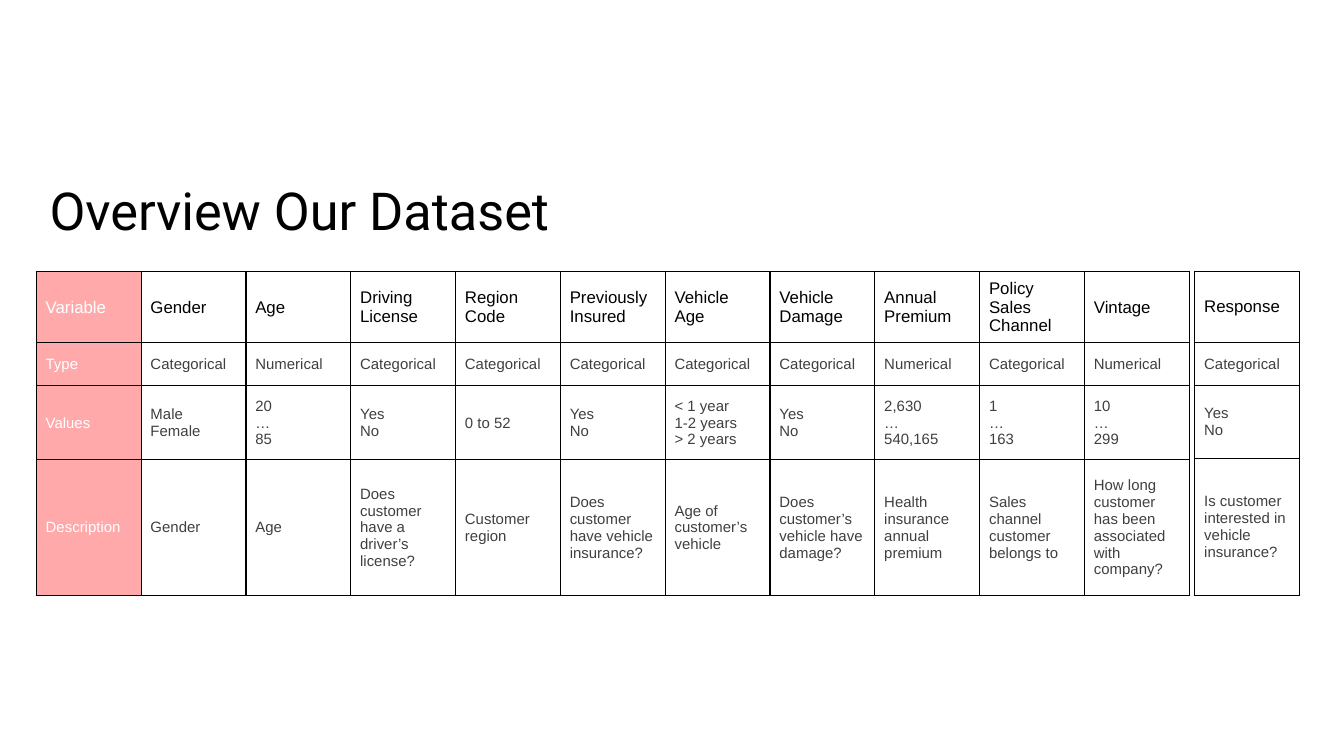
import copy

import pptx
import pptx.dml.color
import pptx.enum.text
import pptx.oxml
import pptx.oxml.ns
import pptx.util

Inches = pptx.util.Inches
Pt = pptx.util.Pt
RGBColor = pptx.dml.color.RGBColor

BLACK = RGBColor(0x00, 0x00, 0x00)
WHITE = RGBColor(0xFF, 0xFF, 0xFF)
GRAY = RGBColor(0x3F, 0x3F, 0x3F)
PINK = RGBColor(0xFF, 0xA9, 0xAA)

SLIDE_WIDTH = 10
SLIDE_HEIGHT = SLIDE_WIDTH * 9 / 16
COLUMN_WIDTH = 0.78
TABLE_TOP = 2.02

HEADINGS = ("Variable", "Type", "Values", "Description")
FEATURES = [
    ("Gender", "Categorical", "Male\nFemale", "Gender"),
    ("Age", "Numerical", "20\n…\n85", "Age"),
    ("Driving License", "Categorical", "Yes\nNo", "Does customer have a driver’s license?"),
    ("Region Code", "Categorical", "0 to 52", "Customer region"),
    ("Previously Insured", "Categorical", "Yes\nNo", "Does customer have vehicle insurance?"),
    ("Vehicle Age", "Categorical", "< 1 year\v1-2 years\n> 2 years", "Age of customer’s vehicle"),
    ("Vehicle Damage", "Categorical", "Yes\nNo", "Does customer’s vehicle have damage?"),
    ("Annual Premium", "Numerical", "2,630\n…\n540,165", "Health insurance annual premium"),
    ("Policy Sales Channel", "Categorical", "1\n…\n163", "Sales channel customer belongs to"),
    ("Vintage", "Numerical", "10\n…\n299", "How long customer has been associated with company?"),
]
RESPONSE = ("Response", "Categorical", "Yes\nNo", "Is customer interested in vehicle insurance?")


def write_text(text_frame, text, *, font, size, color):
    """Write each line of text as a formatted paragraph, with line breaks at vertical tabs."""
    for index, line in enumerate(text.split("\n")):
        paragraph = text_frame.add_paragraph() if index else text_frame.paragraphs[0]
        paragraph.text = line
        for run in paragraph.runs:
            run.font.name = font
            run.font.size = Pt(size)
            run.font.color.rgb = color
        for line_break in paragraph._p.findall(pptx.oxml.ns.qn("a:br")):
            line_break.append(copy.deepcopy(paragraph.runs[0]._r.rPr))


class SlideBuilder:
    """Hold the slide and its style, and add titles and tables."""

    title_font = "Roboto"
    table_font = "Arial"
    border_width = Pt(0.75)

    def __init__(self, slide):
        self.slide = slide

    def add_title(self, text, left, top, width, height):
        shape = self.slide.shapes.add_textbox(Inches(left), Inches(top), Inches(width), Inches(height))
        text_frame = shape.text_frame
        text_frame.word_wrap = True
        text_frame.margin_left = text_frame.margin_right = Inches(0.1)
        text_frame.margin_top = text_frame.margin_bottom = Inches(0.1)
        write_text(text_frame, text, font=self.title_font, size=28, color=BLACK)

    def add_variable_table(self, columns, left, row_heights):
        shape = self.slide.shapes.add_table(
            len(row_heights), len(columns), Inches(left), Inches(TABLE_TOP),
            Inches(COLUMN_WIDTH * len(columns)), Inches(sum(row_heights)))
        table = shape.table
        table.first_row = table.horz_banding = False
        for row, height in zip(table.rows, row_heights):
            row.height = Inches(height)
        for column_index, texts in enumerate(columns):
            table.columns[column_index].width = Inches(COLUMN_WIDTH)
            for row_index, text in enumerate(texts):
                self.fill_cell(table.cell(row_index, column_index), text,
                               is_name=row_index == 0, is_heading=texts is HEADINGS)

    def fill_cell(self, cell, text, is_name, is_heading):
        cell.vertical_anchor = pptx.enum.text.MSO_ANCHOR.MIDDLE
        cell.margin_left = cell.margin_right = Inches(0.07)
        cell.margin_top = cell.margin_bottom = Inches(0.04)
        color = WHITE if is_heading else BLACK if is_name else GRAY
        write_text(cell.text_frame, text, font=self.table_font, size=9 if is_name else 8, color=color)
        self.add_borders(cell)
        if is_heading:
            cell.fill.solid()
            cell.fill.fore_color.rgb = PINK
        else:
            cell.fill.background()

    def add_borders(self, cell):
        properties = cell._tc.get_or_add_tcPr()
        for side in ("lnL", "lnR", "lnT", "lnB"):
            properties.append(pptx.oxml.parse_xml(
                f'<a:{side} {pptx.oxml.ns.nsdecls("a")} w="{self.border_width}">'
                f'<a:solidFill><a:srgbClr val="{BLACK}"/></a:solidFill></a:{side}>'))


def main():
    presentation = pptx.Presentation()
    presentation.slide_width = Inches(SLIDE_WIDTH)
    presentation.slide_height = Inches(SLIDE_HEIGHT)
    builder = SlideBuilder(presentation.slides.add_slide(presentation.slide_layouts[6]))
    builder.add_title("Overview Our Dataset", 0.27, 1.23, 9.02, 0.63)
    builder.add_variable_table([HEADINGS, *FEATURES], 0.27, (0.52, 0.32, 0.55, 1.01))
    builder.add_variable_table([RESPONSE], 8.89, (0.53, 0.32, 0.54, 1.02))
    presentation.save("out.pptx")


if __name__ == "__main__":
    main()
